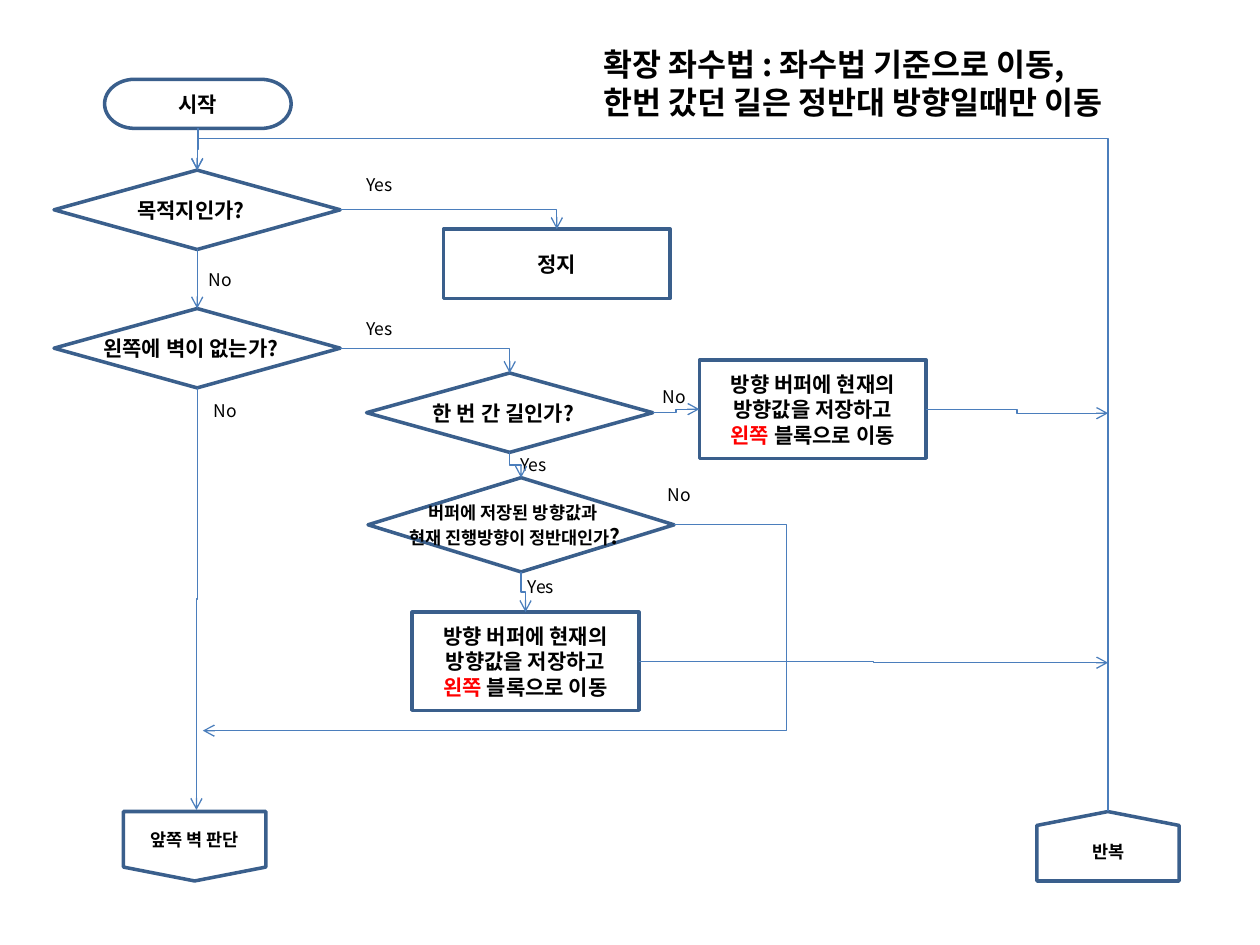
from pptx import Presentation
from pptx.dml.color import RGBColor
from pptx.enum.shapes import MSO_CONNECTOR, MSO_SHAPE
from pptx.enum.text import MSO_ANCHOR, MSO_AUTO_SIZE, PP_ALIGN
from pptx.oxml.ns import qn
from pptx.util import Cm, Pt
from lxml import etree

TERMINATOR = MSO_SHAPE.FLOWCHART_TERMINATOR
DECISION = MSO_SHAPE.FLOWCHART_DECISION
PROCESS = MSO_SHAPE.FLOWCHART_PROCESS
OFFPAGE = MSO_SHAPE.FLOWCHART_OFFPAGE_CONNECTOR
ELBOW = MSO_CONNECTOR.ELBOW
LEFT, CENTER = PP_ALIGN.LEFT, PP_ALIGN.CENTER
TOP, MIDDLE = MSO_ANCHOR.TOP, MSO_ANCHOR.MIDDLE

FONT = "Noto Sans CJK KR"
LINE_FACTOR = 1.22
BLACK = RGBColor(0, 0, 0)
WHITE = RGBColor(0xFF, 0xFF, 0xFF)
RED = RGBColor(0xFF, 0, 0)
OUTLINE = RGBColor(0x3A, 0x5F, 0x8C)
ARROW = RGBColor(0x4B, 0x7E, 0xBC)

# A paragraph is a list of runs: (text, size, bold, colour)


def bold(text, size=12, color=BLACK):
    """Describe one bold run."""
    return (text, size, True, color)


TITLE = [
    [bold("확장 좌수법 : 좌수법 기준으로 이동, ", 18)],
    [bold("한번 갔던 길은 정반대 방향일때만 이동", 18)],
]
TITLE_BOX = (11.91, 0.76, 11.91, 2.57)

MOVE_LEFT = [[bold("방향 버퍼에 현재의 방향값을 저장하고 "),
              bold("왼쪽", color=RED), bold(" 블록으로 이동")]]
OPPOSITE = [
    [bold("버퍼에 저장된 방향값과 ", 10)],
    [bold("현재 진행방향이 정반대인가", 10), bold("?")],
]

# name: (preset, (left, top, width, height), paragraphs)
NODES = {
    "start": (TERMINATOR, (2.11, 1.6, 3.76, 0.99), [[bold("시작")]]),
    "goal": (DECISION, (1.09, 3.43, 5.77, 1.6), [[bold("목적지인가?")]]),
    "wall": (DECISION, (1.09, 6.22, 5.77, 1.6), [[bold("왼쪽에 벽이 없는가?")]]),
    "stop": (PROCESS, (8.94, 4.62, 4.57, 1.4), [[bold("정지")]]),
    "visited": (DECISION, (7.39, 7.52, 5.77, 1.6), [[bold("한 번 간 길인가?")]]),
    "opposite": (DECISION, (7.42, 9.63, 6.17, 1.9), OPPOSITE),
    "move back": (PROCESS, (8.31, 12.34, 4.57, 1.98), MOVE_LEFT),
    "move new": (PROCESS, (14.1, 7.26, 4.57, 1.98), MOVE_LEFT),
    "front": (OFFPAGE, (2.49, 16.36, 2.87, 1.4), [[bold("앞쪽 벽 판단", 10)]]),
    "repeat": (OFFPAGE, (20.9, 16.36, 2.87, 1.4), []),
}
REPEAT_TEXT = [[bold("반복", 10)]]
REPEAT_BOX = (21.77, 16.81, 1.75, 0.69)

LABEL_SIZES = {"Yes": (1.07, 0.69), "No": (0.99, 0.69)}
LABELS = [
    ("No", 3.96, 5.28), ("Yes", 7.14, 3.38), ("Yes", 7.14, 6.27),
    ("Yes", 10.24, 9.02), ("Yes", 10.39, 11.48), ("No", 13.11, 7.65),
    ("No", 4.06, 7.92), ("No", 13.21, 9.63),
]

# (from, to, route, bend); an end is (node, side) or a point
ARROWS = [
    (("start", "bottom"), ("goal", "top"), "down", None),
    (("goal", "bottom"), ("wall", "top"), "down", None),
    (("wall", "bottom"), (3.96, 16.33), "down", None),
    (("goal", "right"), ("stop", "top"), "corner", None),
    (("wall", "right"), ("visited", "top"), "corner", None),
    (("visited", "bottom"), ("opposite", "top"), "down", None),
    (("opposite", "bottom"), ("move back", "top"), "down", None),
    (("visited", "right"), ("move new", "left"), "across", None),
    (("opposite", "right"), (4.09, 14.73), "across", -0.238),
    (("repeat", "top"), ("goal", "top"), "down", 1.049),
    (("move new", "right"), (22.34, 8.33), "across", None),
    (("move back", "right"), (22.34, 13.36), "across", None),
]
SIDES = {"top": (0.5, 0), "bottom": (0.5, 1), "left": (0, 0.5), "right": (1, 0.5)}


def lengths(values):
    """Turn centimetres into slide lengths."""
    return [Cm(value) for value in values]


def write(frame, paragraphs, align, anchor, wrap):
    """Fill a text frame run by run."""
    frame.auto_size = MSO_AUTO_SIZE.NONE
    frame.word_wrap = wrap
    frame.vertical_anchor = anchor
    frame.margin_left = frame.margin_right = Cm(0.25)
    frame.margin_top = frame.margin_bottom = Cm(0.13)
    for index, runs in enumerate(paragraphs):
        paragraph = frame.add_paragraph() if index else frame.paragraphs[0]
        paragraph.alignment = align
        paragraph.line_spacing = Pt(LINE_FACTOR * max(run[1] for run in runs))
        for text, size, is_bold, color in runs:
            run = paragraph.add_run()
            run.text = text
            run.font.size = Pt(size)
            run.font.bold = is_bold
            run.font.name = FONT
            run.font.color.rgb = color
            east_asian = etree.SubElement(run.font._element, qn("a:ea"))
            east_asian.set("typeface", FONT)


def add_node(shapes, preset, box, paragraphs):
    """Draw one outlined flowchart shape."""
    shape = shapes.add_shape(preset, *lengths(box))
    shape.shadow.inherit = False
    shape.fill.solid()
    shape.fill.fore_color.rgb = WHITE
    shape.line.color.rgb = OUTLINE
    shape.line.width = Pt(2)
    write(shape.text_frame, paragraphs, CENTER, MIDDLE, preset != DECISION)
    if preset == DECISION:
        shape.text_frame.margin_left = 0
    return shape


def add_label(shapes, box, paragraphs, wrap=False):
    """Place a plain text box."""
    label = shapes.add_textbox(*lengths(box))
    write(label.text_frame, paragraphs, LEFT, TOP, wrap)
    return label


def locate(end):
    """Find the point of an arrow end."""
    if end[0] not in NODES:
        return end
    left, top, width, height = NODES[end[0]][1]
    across, down = SIDES[end[1]]
    return left + across * width, top + down * height


def add_arrow(shapes, start, end, route, bend):
    """Draw an elbow arrow; a "down" route leaves its start vertically."""
    (x1, y1), (x2, y2) = locate(start), locate(end)
    turn = 0
    if route == "down":
        turn = 90 if x2 <= x1 and y2 > y1 else 270
        sign = 1 if turn == 90 else -1
        middle_x, middle_y = (x1 + x2) / 2, (y1 + y2) / 2
        half_x, half_y = sign * (y2 - y1) / 2, sign * (x1 - x2) / 2
        x1, x2 = middle_x - half_x, middle_x + half_x
        y1, y2 = middle_y - half_y, middle_y + half_y
    arrow = shapes.add_connector(ELBOW, *lengths((x1, y1, x2, y2)))
    arrow.line.color.rgb = ARROW
    arrow.line.width = Pt(0.75)
    properties = arrow.element.spPr
    if turn:
        properties.find(qn("a:xfrm")).set("rot", str(turn * 60000))
    geometry = properties.find(qn("a:prstGeom"))
    if route == "corner":
        geometry.set("prst", "bentConnector2")
    if bend is not None:
        guide = etree.SubElement(geometry.find(qn("a:avLst")), qn("a:gd"))
        guide.set("name", "adj1")
        guide.set("fmla", f"val {round(bend * 100000)}")
    etree.SubElement(properties.find(qn("a:ln")), qn("a:tailEnd")).set("type", "arrow")
    etree.SubElement(properties, qn("a:effectLst"))


presentation = Presentation()
presentation.slide_width, presentation.slide_height = Cm(25.4), Cm(19.05)
slide = presentation.slides.add_slide(presentation.slide_layouts[5])
shapes = slide.shapes

title = shapes.title
title.left, title.top, title.width, title.height = lengths(TITLE_BOX)
write(title.text_frame, TITLE, LEFT, TOP, True)

drawn = {name: add_node(shapes, *node) for name, node in NODES.items()}
drawn["repeat"].rotation = 180
repeat_label = add_label(shapes, REPEAT_BOX, REPEAT_TEXT, wrap=True)
shapes.add_group_shape([drawn["repeat"], repeat_label])

for answer, left, top in LABELS:
    add_label(shapes, (left, top, *LABEL_SIZES[answer]), [[(answer, 10, False, BLACK)]])
for arrow_row in ARROWS:
    add_arrow(shapes, *arrow_row)

presentation.save("out.pptx")
